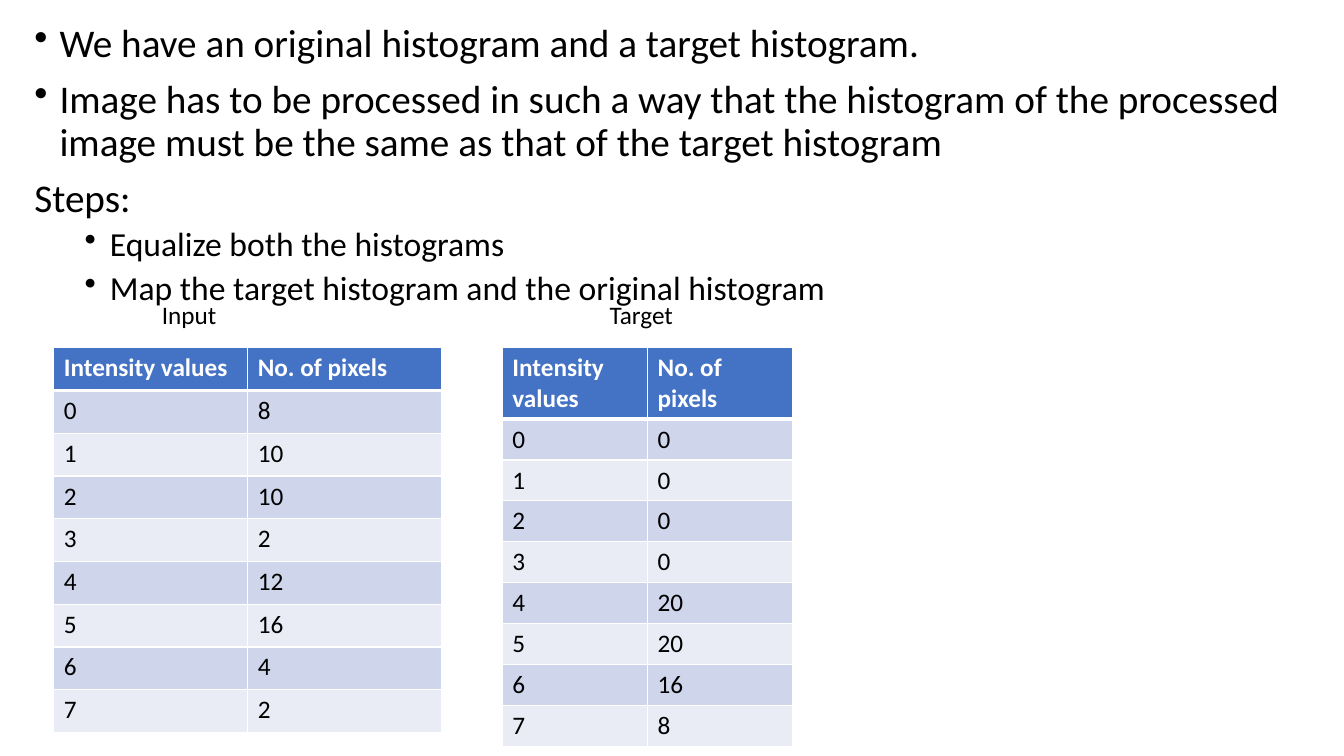
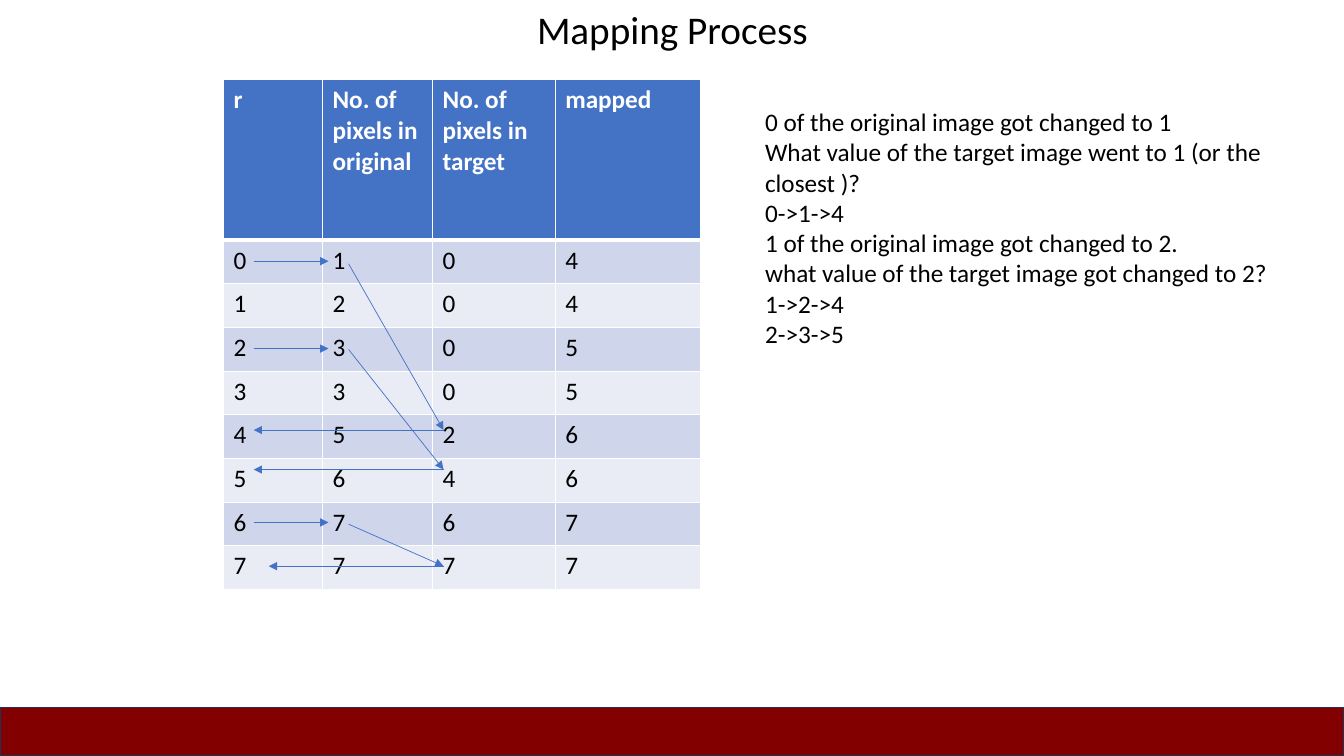
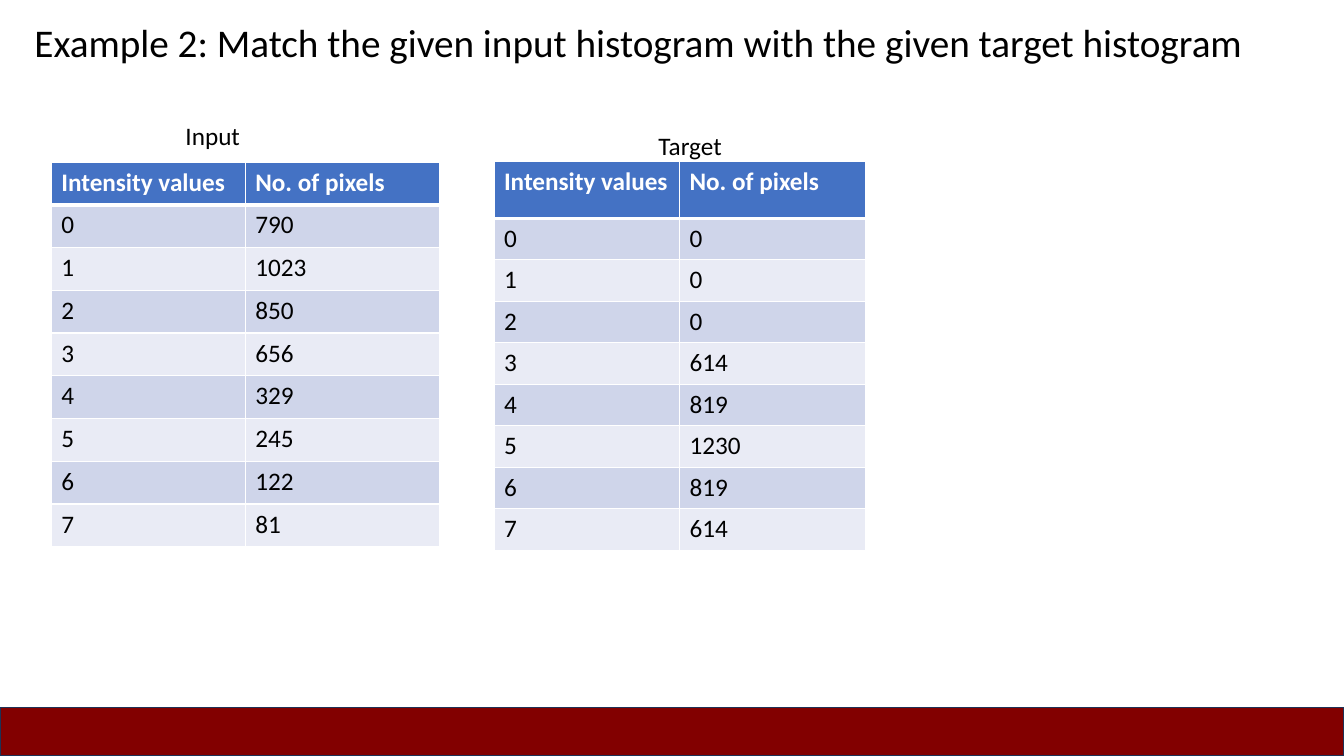
import lxml.etree
import pptx
import pptx.dml.color
import pptx.enum.shapes
import pptx.enum.text
import pptx.oxml.ns
import pptx.util

RGB = pptx.dml.color.RGBColor
BLACK = RGB(0x00, 0x00, 0x00)
WHITE = RGB(0xFF, 0xFF, 0xFF)
BLUE = RGB(0x44, 0x72, 0xC4)
DARK = RGB(0xCF, 0xD5, 0xEA)
LIGHT = RGB(0xE9, 0xEB, 0xF5)
MAROON = RGB(0x82, 0x00, 0x00)
NAVY = RGB(0x1E, 0x32, 0x56)

FONT = "Calibri"
HEAD, SUB, BODY = 28, 24, 18
COLS, ROWS = 160, 90
LEFT = pptx.enum.text.PP_ALIGN.LEFT
CENTER = pptx.enum.text.PP_ALIGN.CENTER
Pt = pptx.util.Pt


def node(parent, tag, **attrs):
    return lxml.etree.SubElement(parent, pptx.oxml.ns.qn(tag), attrs)


class Deck:
    """Places elements on a grid of 160 columns by 90 rows."""

    def __init__(self):
        self.prs = pptx.Presentation()
        self.prs.slide_width = pptx.util.Inches(13.33)
        self.prs.slide_height = pptx.util.Inches(7.5)
        self.slide = None

    def x(self, cols):
        return round(self.prs.slide_width * cols / COLS)

    def y(self, rows):
        return round(self.prs.slide_height * rows / ROWS)

    def box(self, left, top, wide, high):
        return self.x(left), self.y(top), self.x(wide), self.y(high)

    def page(self, layout):
        layouts = self.prs.slide_layouts
        self.slide = self.prs.slides.add_slide(layouts.get_by_name(layout))

    def run(self, para, text, size=BODY, color=BLACK, bold=False):
        part = para.add_run()
        part.text = text
        font = part.font
        font.name, font.size, font.bold = FONT, Pt(size), bold
        font.color.rgb = color

    def space(self, para, before):
        para.line_spacing = 0.9
        para.space_before = Pt(before)

    def title(self, text, place, align=LEFT):
        self.page("Title Only")
        shape = self.slide.shapes.title
        shape.left, shape.top, shape.width, shape.height = self.box(*place)
        frame = shape.text_frame
        frame.auto_size = pptx.enum.text.MSO_AUTO_SIZE.NONE
        frame.vertical_anchor = pptx.enum.text.MSO_ANCHOR.TOP
        para = frame.paragraphs[0]
        para.alignment = align
        self.space(para, 10)
        self.run(para, text, HEAD)

    def text(self, lines, place):
        """Adds a text box and returns its paragraphs, one for each line."""
        frame = self.slide.shapes.add_textbox(*self.box(*place)).text_frame
        frame.word_wrap = True
        for i, (line, size) in enumerate(lines):
            para = frame.add_paragraph() if i else frame.paragraphs[0]
            self.run(para, line, size)
        return frame.paragraphs

    def label(self, text, left, top, wide):
        self.text([(text, BODY)], (left, top, wide, 4.8))

    def outline(self, lines, place):
        """Adds lines given as (text, level, bulleted)."""
        sized = [(text, SUB if level else HEAD) for text, level, _ in lines]
        for para, (_, level, dot) in zip(self.text(sized, place), lines):
            para.level = level
            self.space(para, 5 if level else 10)
            if dot:
                props = para._p.get_or_add_pPr()
                props.set("marL", str(pptx.util.Inches(0.25 + level / 2)))
                props.set("indent", str(pptx.util.Inches(-0.25)))
                node(props, "a:buChar", char="•")

    def edge(self, cell, row):
        props = cell._tc.get_or_add_tcPr()
        thick = {0: "a:lnB", 1: "a:lnT"}.get(row)
        for side in ("a:lnL", "a:lnR", "a:lnT", "a:lnB"):
            line = node(props, side, w=str(Pt(3 if side == thick else 1)))
            node(node(line, "a:solidFill"), "a:srgbClr", val=str(WHITE))

    def table(self, data, left, top, cols, head, high):
        """Adds a table with column widths, a head height and a row height."""
        highs = [head] + [high] * (len(data) - 1)
        place = self.box(left, top, sum(cols), sum(highs))
        grid = self.slide.shapes.add_table(len(data), len(cols), *place).table
        for col, wide in zip(grid.columns, cols):
            col.width = self.x(wide)
        for r, values in enumerate(data):
            grid.rows[r].height = self.y(highs[r])
            fill = (DARK if r % 2 else LIGHT) if r else BLUE
            for c, value in enumerate(values):
                cell = grid.cell(r, c)
                self.edge(cell, r)
                cell.fill.solid()
                cell.fill.fore_color.rgb = fill
                self.run(cell.text_frame.paragraphs[0], str(value),
                         color=BLACK if r else WHITE, bold=r == 0)

    def counts(self, pixels, left, top, wide, head, high):
        data = [("Intensity values", "No. of pixels"), *enumerate(pixels)]
        self.table(data, left, top, [wide, wide], head, high)

    def arrow(self, x1, y1, x2, y2):
        kind = pptx.enum.shapes.MSO_CONNECTOR.STRAIGHT
        link = self.slide.shapes.add_connector(
            kind, self.x(x1), self.y(y1), self.x(x2), self.y(y2))
        link.line.width = Pt(0.5)
        link.line.color.rgb = BLUE
        props = link.element.spPr
        node(props.find(pptx.oxml.ns.qn("a:ln")), "a:tailEnd", type="triangle")
        node(props, "a:effectLst")

    def band(self):
        kind = pptx.enum.shapes.MSO_SHAPE.RECTANGLE
        bar = self.slide.shapes.add_shape(kind, *self.box(0, 84.2, COLS, 5.8))
        bar.shadow.inherit = False
        bar.fill.solid()
        bar.fill.fore_color.rgb = MAROON
        bar.line.color.rgb = NAVY
        bar.line.width = Pt(1)


def steps(deck):
    deck.page("Blank")
    deck.outline([
        ("We have an original histogram and a target histogram.", 0, True),
        ("Image has to be processed in such a way that the histogram of the "
         "processed image must be the same as that of the target histogram",
         0, True),
        ("Steps:", 0, False),
        ("Equalize both the histograms", 1, True),
        ("Map the target histogram and the original histogram", 1, True),
    ], (2.9, 2.2, 152.5, 86.8))
    deck.counts([8, 10, 10, 2, 12, 16, 4, 2], 6.4, 41.4, 23.1, 5.09, 5.09)
    deck.counts([0, 0, 0, 0, 20, 20, 16, 8], 59.8, 41.4, 17.3, 8.5, 4.87)
    deck.label("Input", 18.1, 35, 12.2)
    deck.label("Target", 71.4, 35, 12.2)


def mapping(deck):
    deck.title("Mapping Process", (1.8, 0.7, 156.5, 8), CENTER)
    source = [1, 2, 3, 3, 5, 6, 7, 7]
    target = [0, 0, 0, 0, 2, 4, 6, 7]
    mapped = [4, 4, 5, 5, 6, 6, 7, 7]
    heads = ("r", "No. of pixels in original", "No. of pixels in target",
             "mapped")
    deck.table([heads, *zip(range(8), source, target, mapped)],
               26.6, 9.5, [11.8, 13.1, 14.6, 17.3], 19.1, 5.2)
    for start, fall, back, end in ((31.1, 31.4, 51.2, 30.2),
                                   (41.5, 41.6, 55.9, 30.2),
                                   (62.2, 62.4, 67.4, 32)):
        deck.arrow(30.2, start, 39.1, start)
        deck.arrow(41.5, fall, 52.8, back)
        deck.arrow(52.8, back, end, back)
    notes = [
        "0 of the original image got changed to 1",
        "What value of the target image went to 1 (or the closest )?",
        "0->1->4",
        "1 of the original image got changed to 2.",
        "what value of the target image got changed to 2?",
        "1->2->4",
        "2->3->5",
    ]
    deck.text([(note, BODY) for note in notes], (89.9, 12.1, 68.3, 30.2))
    deck.band()


def example(deck):
    deck.title("Example 2: Match the given input histogram with the given "
               "target histogram", (2.9, 2.2, 152.5, 8))
    deck.counts([790, 1023, 850, 656, 329, 245, 122, 81],
                6.1, 19.3, 23.1, 5.09, 5.09)
    deck.counts([0, 0, 0, 614, 819, 1230, 819, 614],
                58.8, 19.2, 22.1, 6.8, 4.94)
    deck.label("Input", 20.9, 13.7, 20.4)
    deck.label("Target", 77.2, 14.9, 11.3)
    deck.band()


def main():
    deck = Deck()
    for build in (steps, mapping, example):
        build(deck)
    deck.prs.save("out.pptx")


if __name__ == "__main__":
    main()
